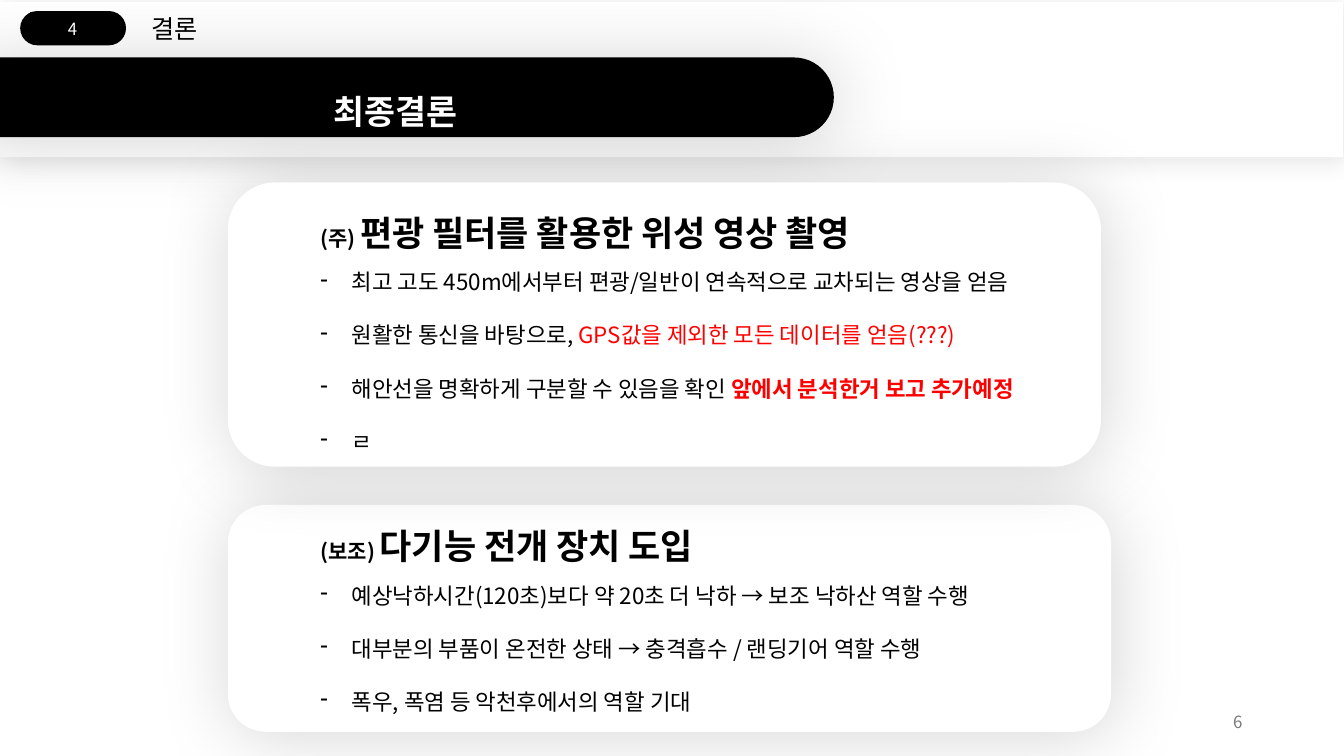
from dataclasses import dataclass

from lxml import etree
from pptx import Presentation
from pptx import util as u
from pptx.dml.color import RGBColor
from pptx.enum import shapes, text
from pptx.oxml.ns import qn

PX = 9144  # EMU in one px, 100 px to the inch
FONT = "Noto Sans CJK KR"
BLACK = RGBColor(0, 0, 0)
WHITE = RGBColor(255, 255, 255)
RED = RGBColor(255, 0, 0)
GRAY = RGBColor(0x79, 0x79, 0x79)
RECT = shapes.MSO_SHAPE.RECTANGLE
ROUND = shapes.MSO_SHAPE.ROUNDED_RECTANGLE
LEFT, MID, RIGHT = text.PP_ALIGN.LEFT, text.PP_ALIGN.CENTER, text.PP_ALIGN.RIGHT


@dataclass(frozen=True)
class Box:
    x: int
    y: int
    w: int
    h: int

    def emu(self) -> list[int]:
        return [v * PX for v in (self.x, self.y, self.w, self.h)]


@dataclass(frozen=True)
class Shade:
    alpha: int  # percent
    blur: int  # points


@dataclass(frozen=True)
class Run:
    words: str
    size: int = 16
    color: RGBColor = BLACK
    bold: bool = False


@dataclass(frozen=True)
class Para:
    runs: tuple[Run, ...]
    line: float  # line height in points
    align: text.PP_ALIGN = LEFT
    gap: int = 0  # points before
    hang: int = 0  # px
    mark: str = ""


@dataclass(frozen=True)
class Card:
    back: Box
    body: Box
    tag: str
    title: str
    items: tuple[tuple[Run, ...], ...]


SOFT = Shade(16, 54)
THIN = Shade(11, 18)


def cast(shape, shade: Shade) -> None:
    """Give a shape a soft outer shadow."""
    fx = shape._element.spPr.find(qn("a:effectLst"))
    out = etree.SubElement(fx, qn("a:outerShdw"), blurRad=str(u.Pt(shade.blur)),
                           dist=str(u.Pt(3)), dir=str(45 * 60000),
                           algn="tl", rotWithShape="0")
    hue = etree.SubElement(out, qn("a:srgbClr"), val=str(BLACK))
    etree.SubElement(hue, qn("a:alpha"), val=str(shade.alpha * 1000))


def block(slide, kind: shapes.MSO_SHAPE, box: Box, fill: RGBColor,
          shade: Shade | None = None, bend: float | None = None):
    shape = slide.shapes.add_shape(kind, *box.emu())
    shape.shadow.inherit = False
    shape.fill.solid()
    shape.fill.fore_color.rgb = fill
    shape.line.fill.background()
    if bend is not None:
        shape.adjustments[0] = bend
    if shade:
        cast(shape, shade)
    return shape


def write(shape, paras: list[Para], anchor=text.MSO_ANCHOR.TOP) -> None:
    frame = shape.text_frame
    frame.word_wrap = True
    frame.vertical_anchor = anchor
    for i, item in enumerate(paras):
        para = frame.add_paragraph() if i else frame.paragraphs[0]
        props = para._p.get_or_add_pPr()
        if item.hang:
            props.set("marL", str(item.hang * PX))
            props.set("indent", str(-item.hang * PX))
        if item.mark:
            etree.SubElement(props, qn("a:buChar"), char=item.mark)
        form = {"alignment": item.align, "line_spacing": u.Pt(item.line)}
        if item.gap:
            form["space_before"] = u.Pt(item.gap)
        for key, val in form.items():
            setattr(para, key, val)
        for part in item.runs:
            run = para.add_run()
            run.text = part.words
            form = {"name": FONT, "size": u.Pt(part.size), "bold": part.bold}
            for key, val in form.items():
                setattr(run.font, key, val)
            run.font.color.rgb = part.color
            etree.SubElement(run._r.get_or_add_rPr(), qn("a:ea"), typeface=FONT)


def label(slide, box: Box, paras: list[Para], anchor=text.MSO_ANCHOR.TOP) -> None:
    write(slide.shapes.add_textbox(*box.emu()), paras, anchor)


def panel(slide, card: Card) -> None:
    block(slide, ROUND, card.back, WHITE, SOFT)
    head = (Run(card.tag + " ", 15, bold=True), Run(card.title, 25, bold=True))
    paras = [Para(head, 32.7)]
    for i, runs in enumerate(card.items):
        paras.append(Para(runs, 23, gap=15 if i else 7, hang=31, mark="-"))
    label(slide, card.body, paras)


# Cards, from back to front
CARDS = (
    Card(Box(226, 501, 876, 225), Box(308, 512, 738, 204),
         "(보조)", "다기능 전개 장치 도입", (
             (Run("예상낙하시간(120초)보다 약 20초 더 낙하 → 보조 낙하산 역할 수행"),),
             (Run("대부분의 부품이 온전한 상태 → 충격흡수 / 랜딩기어 역할 수행"),),
             (Run("폭우, 폭염 등 악천후에서의 역할 기대"),))),
    Card(Box(226, 181, 866, 282), Box(308, 201, 854, 257),
         "(주)", "편광 필터를 활용한 위성 영상 촬영", (
             (Run("최고 고도 450m에서부터 편광/일반이 연속적으로 교차되는 영상을 얻음"),),
             (Run("원활한 통신을 바탕으로, "),
              Run("GPS값을 제외한 모든 데이터를 얻음(???)", color=RED)),
             (Run("해안선을 명확하게 구분할 수 있음을 확인 "),
              Run("앞에서 분석한거 보고 추가예정", color=RED, bold=True)),
             (Run("ㄹ"),))),
)


def main() -> None:
    deck = Presentation()
    deck.slide_width, deck.slide_height = u.Inches(13.33), u.Inches(7.5)
    slide = deck.slides.add_slide(deck.slide_layouts[6])

    # Page number
    label(slide, Box(942, 695, 300, 40),
          [Para((Run("6", 12, GRAY),), 15.6, RIGHT)], text.MSO_ANCHOR.MIDDLE)

    # Header band and title bar
    block(slide, RECT, Box(-1, 2, 1333, 154), WHITE, THIN)
    block(slide, ROUND, Box(-42, 57, 869, 79), BLACK, SOFT, 0.5)
    title = block(slide, RECT, Box(21, 59, 742, 68), BLACK)
    write(title, [Para((Run("최종결론", 24, WHITE, True),), 47.8, MID, hang=42)])

    # Section name and number
    label(slide, Box(140, 6, 346, 40), [Para((Run("결론", 18),), 23.5)])
    block(slide, ROUND, Box(20, 11, 105, 34), BLACK, bend=0.5)
    badge = block(slide, RECT, Box(30, 12, 84, 30), BLACK)
    write(badge, [Para((Run("4", 12, WHITE),), 15.6, MID)])

    for card in CARDS:
        panel(slide, card)
    deck.save("out.pptx")


if __name__ == "__main__":
    main()
